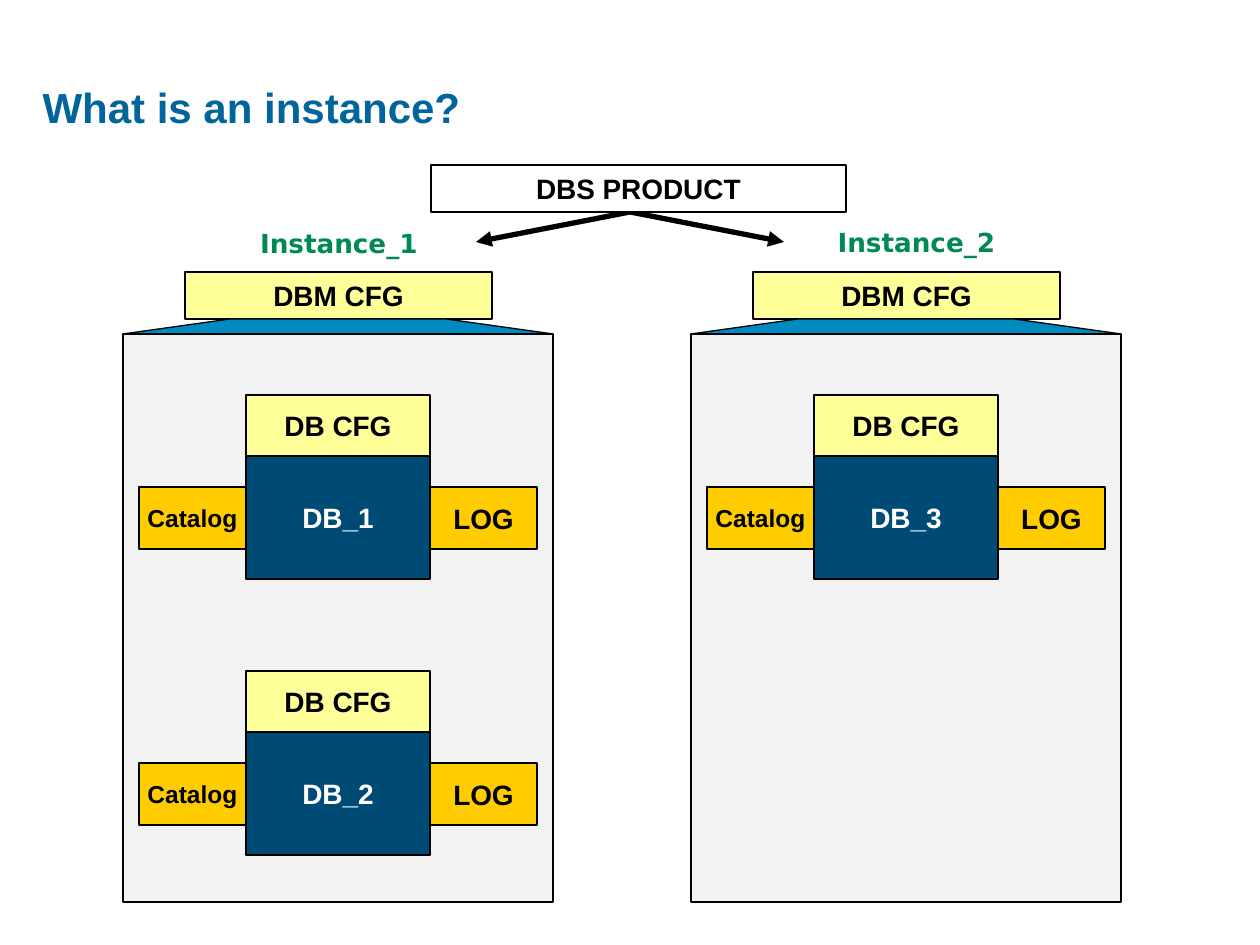
from pptx import Presentation
from pptx.dml.color import RGBColor
from pptx.enum.shapes import MSO_CONNECTOR, MSO_SHAPE
from pptx.enum.text import MSO_ANCHOR, PP_ALIGN
from pptx.oxml.ns import qn
from pptx.util import Emu, Pt
from lxml.etree import SubElement

TITLE = "What is an instance?"
PRODUCT = "DBS PRODUCT"
SITES = [
    dict(name="Instance_1", label=(164, 221, 350, 44), bases=["DB_1", "DB_2"]),
    dict(name="Instance_2", label=(814, 220, 205, 44), bases=["DB_3"]),
]
HUES = dict(black="000000", white="FFFFFF", cream="FFFF99", gold="FFCC00",
            navy="004B76", blue="008ABF", grey="F2F2F2", green="008A52",
            title="00649D")

LEFT, SITE_GAP = 123, 568
ROW_TOP, ROW_GAP = 395, 276
PANEL_W, PANEL_TOP, PANEL_H = 430, 334, 568
ROOF_TOP, ROOF_IN = 319, 107
ARROW_TOP, ARROW_END, ARROW_X, ARROW_DX = 212, 242, 630, 154


def px(n):
    return Emu(round(n * 914400 / 126))


def hue(key):
    return RGBColor.from_string(HUES[key])


def write(frame, text, size=16, color="black", font="Arial",
          align=PP_ALIGN.CENTER, anchor=MSO_ANCHOR.MIDDLE, wrap=True):
    frame.word_wrap = wrap
    frame.vertical_anchor = anchor
    para = frame.paragraphs[0]
    para.alignment = align
    run = para.add_run()
    run.text = text
    run.font.size, run.font.name, run.font.bold = Pt(size), font, True
    run.font.color.rgb = hue(color)


def paint(shape, fill):
    shape.shadow.inherit = False
    shape.fill.solid()
    shape.fill.fore_color.rgb = hue(fill)
    shape.line.color.rgb = hue("black")
    shape.line.width = Pt(0.75)


def box(x, y, w, h, fill, text="", **form):
    shape = shapes.add_shape(MSO_SHAPE.RECTANGLE, px(x), px(y), px(w), px(h))
    paint(shape, fill)
    if text:
        write(shape.text_frame, text, wrap=False, **form)


def roof(x):
    pen = shapes.build_freeform(px(x), px(PANEL_TOP))
    pen.add_line_segments([
        (px(x + ROOF_IN), px(ROOF_TOP)),
        (px(x + PANEL_W - ROOF_IN), px(ROOF_TOP)),
        (px(x + PANEL_W), px(PANEL_TOP)),
    ], close=True)
    paint(pen.convert_to_shape(), "blue")


def base(x, y, name):
    box(x + 123, y + 61, 184, 123, "navy", name, color="white")
    box(x + 123, y, 184, 61, "cream", "DB CFG")
    box(x + 16, y + 92, 107, 62, "gold", "Catalog", size=14)
    box(x + 307, y + 92, 107, 62, "gold", "LOG")


def arrow(x):
    line = shapes.add_connector(MSO_CONNECTOR.STRAIGHT, px(ARROW_X),
                                px(ARROW_TOP), px(x), px(ARROW_END))
    line.line.color.rgb = hue("black")
    line.line.width = Pt(3)
    SubElement(line.line._get_or_add_ln(), qn("a:tailEnd"), type="triangle")
    SubElement(line._element.spPr, qn("a:effectLst"))


deck = Presentation()
deck.slide_width, deck.slide_height = px(1260), px(945)
slide = deck.slides.add_slide(deck.slide_layouts[5])
shapes = slide.shapes

head = shapes.title
head.left, head.top, head.width, head.height = map(px, (30, 63, 1217, 88))
write(head.text_frame, TITLE, size=24, color="title", align=PP_ALIGN.LEFT)

for i, site in enumerate(SITES):
    x = LEFT + i * SITE_GAP
    box(x + 62, 272, 307, 47, "cream", "DBM CFG")
    roof(x)
    box(x, PANEL_TOP, PANEL_W, PANEL_H, "grey")
    for row, name in enumerate(site["bases"]):
        base(x, ROW_TOP + row * ROW_GAP, name)
    label = shapes.add_textbox(*map(px, site["label"]))
    write(label.text_frame, site["name"], size=15, color="green",
          font="DejaVu Sans", anchor=MSO_ANCHOR.TOP)

for side in (-1, 1):
    arrow(ARROW_X + side * ARROW_DX)
box(431, 165, 415, 47, "white", PRODUCT)

deck.save("out.pptx")
